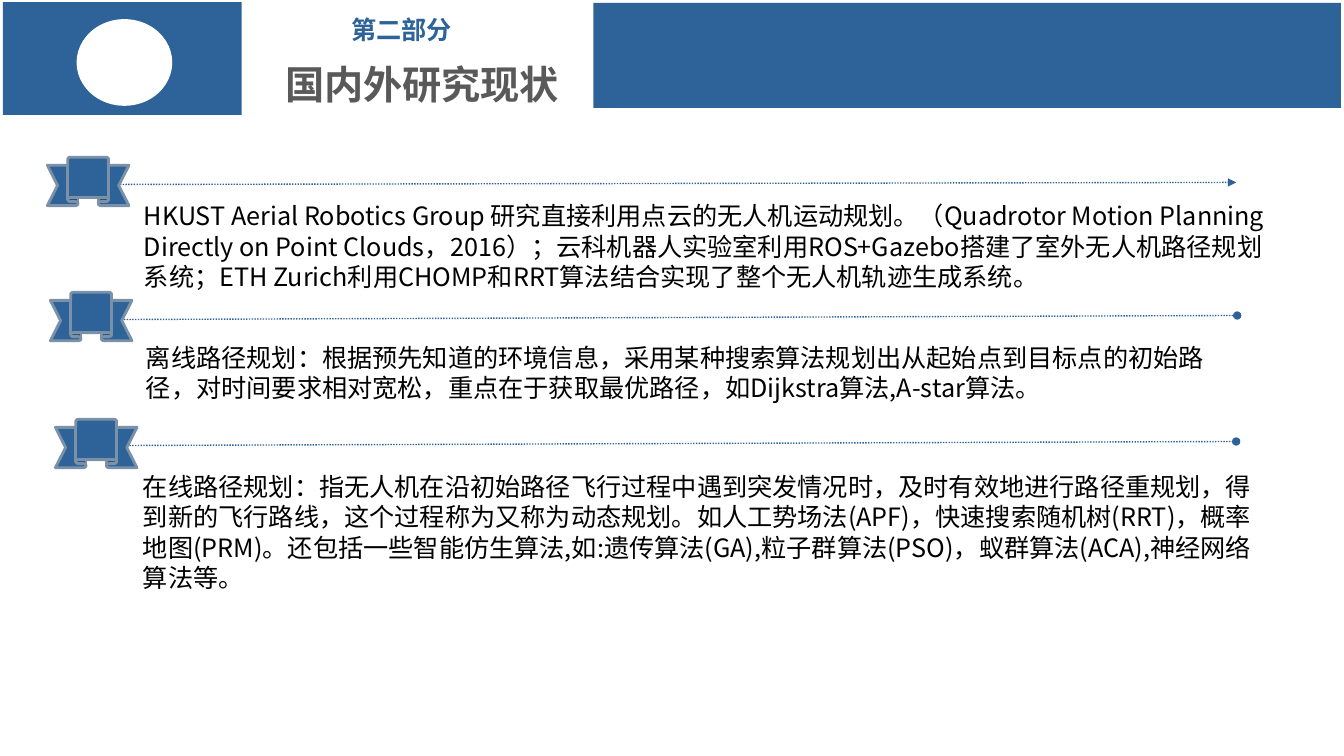
"""Build the slide on the state of path planning research."""
from lxml.etree import SubElement
from pptx import Presentation
from pptx.dml.color import RGBColor
from pptx.enum.dml import MSO_LINE
from pptx.enum.shapes import MSO_CONNECTOR, MSO_SHAPE as SHAPE
from pptx.enum.text import MSO_ANCHOR, MSO_AUTO_SIZE, PP_ALIGN
from pptx.oxml.ns import qn
from pptx.util import Inches, Pt

BLUE = RGBColor(0x2D, 0x63, 0x99)
SLATE = RGBColor(0x7A, 0x91, 0xA8)
GREY = RGBColor(0x59, 0x59, 0x59)
BLACK = RGBColor(0, 0, 0)
WHITE = RGBColor(0xFF, 0xFF, 0xFF)
CJK_FONT = "Noto Sans CJK SC"
LINE_RATIO = 1.21


def write(box, text, size, color, bold=False, font=CJK_FONT):
    frame = box.text_frame
    frame.text = text
    frame.word_wrap = True
    frame.auto_size = MSO_AUTO_SIZE.NONE
    frame.vertical_anchor = MSO_ANCHOR.TOP
    paragraph = frame.paragraphs[0]
    paragraph.alignment = PP_ALIGN.LEFT
    paragraph.line_spacing = Pt(size * LINE_RATIO)
    run = paragraph.runs[0]
    run.font.size = Pt(size)
    run.font.bold = bold
    run.font.color.rgb = color
    run.font.name = font
    SubElement(run.font._element, qn("a:ea"), typeface=CJK_FONT)


def add_filled(preset, left, top, width, height, color):
    shape = slide.shapes.add_shape(
        preset, Inches(left), Inches(top), Inches(width), Inches(height))
    shape.shadow.inherit = False
    shape.fill.solid()
    shape.fill.fore_color.rgb = color
    shape.line.fill.background()
    return shape


deck = Presentation()
deck.slide_width = Inches(13.34)
deck.slide_height = Inches(7.5)
slide = deck.slides.add_slide(deck.slide_layouts[5])

add_filled(SHAPE.RECTANGLE, 5.89, 0.03, 7.42, 1.04, BLUE)
add_filled(SHAPE.RECTANGLE, 0.03, 0.02, 2.37, 1.12, BLUE)
add_filled(SHAPE.OVAL, 0.76, 0.19, 0.95, 0.86, WHITE)

section = slide.shapes.add_textbox(Inches(3.39), Inches(0.09), Inches(1.33), Inches(0.4))
write(section, "第二部分", 18, BLUE, bold=True, font="Arial")

title = slide.shapes.title
title.left, title.top = Inches(2.73), Inches(0.54)
title.width, title.height = Inches(3.01), Inches(0.57)
write(title, "国内外研究现状", 28, GREY, bold=True)

topics = [
    ((0.47, 1.56), (1.19, 1.83, 12.27, 1.81), "triangle", (1.33, 1.94, 11.33, 1.0),
     "HKUST Aerial Robotics Group 研究直接利用点云的无人机运动规划。"
     "（Quadrotor Motion Planning Directly on Point Clouds，2016）；"
     "云科机器人实验室利用ROS+Gazebo搭建了室外无人机路径规划系统；"
     "ETH Zurich利用CHOMP和RRT算法结合实现了整个无人机轨迹生成系统。"),
    ((0.5, 2.9), (1.23, 3.17, 12.28, 3.13), "oval", (1.35, 3.34, 10.88, 0.7),
     "离线路径规划：根据预先知道的环境信息，采用某种搜索算法规划出从起始点到目标点的初始路径，"
     "对时间要求相对宽松，重点在于获取最优路径，如Dijkstra算法,A-star算法。"),
    ((0.55, 4.16), (1.23, 4.42, 12.27, 4.38), "oval", (1.32, 4.62, 11.25, 1.3),
     "在线路径规划：指无人机在沿初始路径飞行过程中遇到突发情况时，及时有效地进行路径重规划，"
     "得到新的飞行路线，这个过程称为又称为动态规划。如人工势场法(APF)，快速搜索随机树(RRT)，"
     "概率地图(PRM)。还包括一些智能仿生算法,如:遗传算法(GA),粒子群算法(PSO)，"
     "蚁群算法(ACA),神经网络算法等。"),
]

for (ribbon_left, ribbon_top), rule_ends, rule_tip, text_area, text in topics:
    rule = slide.shapes.add_connector(
        MSO_CONNECTOR.STRAIGHT, *[Inches(value) for value in rule_ends])
    rule.line.color.rgb = BLUE
    rule.line.width = Pt(1)
    rule.line.dash_style = MSO_LINE.ROUND_DOT
    SubElement(rule.line._get_or_add_ln(), qn("a:tailEnd"), type=rule_tip)
    SubElement(rule._element.spPr, qn("a:effectLst"))

    ribbon = add_filled(SHAPE.UP_RIBBON, ribbon_left, ribbon_top, 0.81, 0.48, BLUE)
    ribbon.line.color.rgb = SLATE
    ribbon.line.width = Pt(2)

    body = slide.shapes.add_textbox(*[Inches(value) for value in text_area])
    write(body, text, 18, BLACK)

deck.save("out.pptx")
